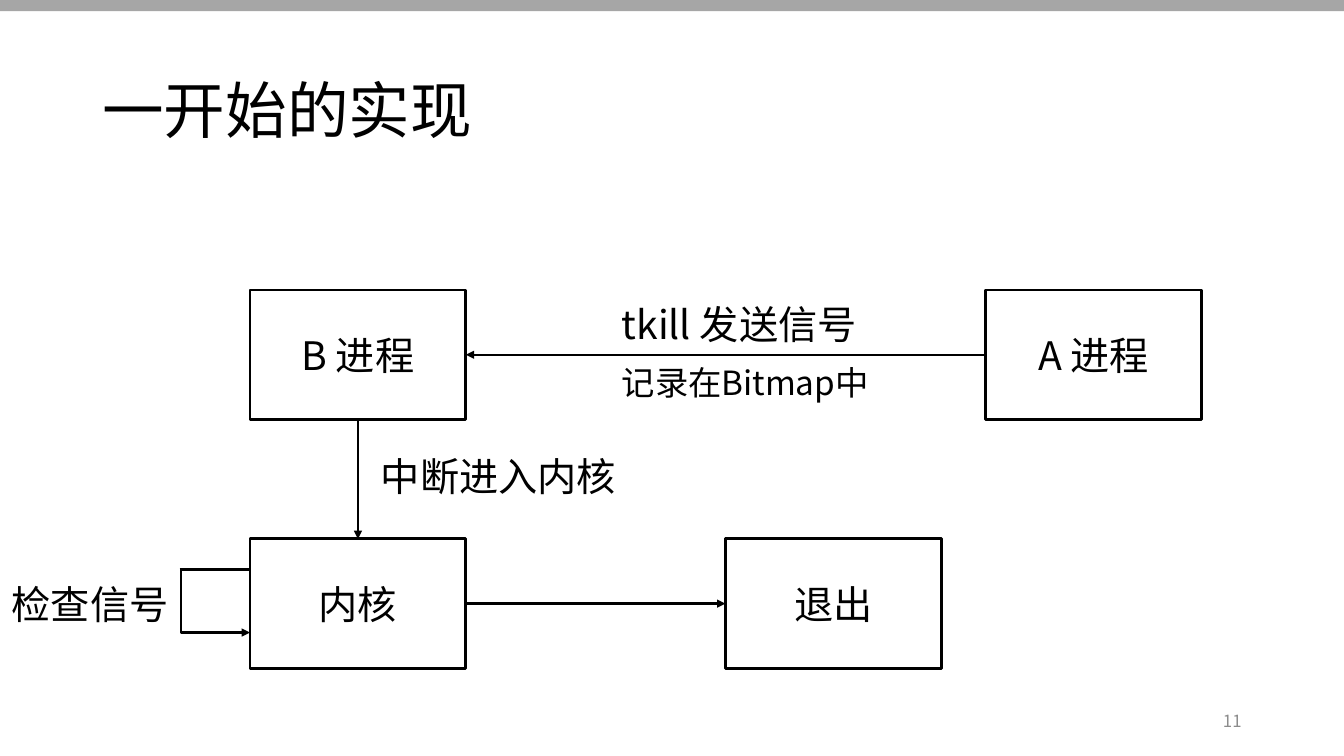
from dataclasses import dataclass

from lxml import etree
from pptx import Presentation
from pptx.dml.color import RGBColor
from pptx.enum.shapes import MSO_CONNECTOR, MSO_SHAPE
from pptx.enum.text import MSO_ANCHOR, PP_ALIGN
from pptx.oxml.ns import qn
from pptx.util import Cm, Pt

RECT = MSO_SHAPE.RECTANGLE
STRAIGHT, ELBOW = MSO_CONNECTOR.STRAIGHT, MSO_CONNECTOR.ELBOW
TOP, MIDDLE = MSO_ANCHOR.TOP, MSO_ANCHOR.MIDDLE
LEFT, CENTER, RIGHT = PP_ALIGN.LEFT, PP_ALIGN.CENTER, PP_ALIGN.RIGHT
SIDE_TOP, SIDE_LEFT, SIDE_BOTTOM, SIDE_RIGHT = range(4)


@dataclass(frozen=True)
class Theme:
    font: str = "Noto Sans CJK SC"
    ink: RGBColor = RGBColor(0, 0, 0)
    bar: RGBColor = RGBColor(0xA6, 0xA6, 0xA6)
    muted: RGBColor = RGBColor(0x8C, 0x8C, 0x8C)
    title: float = 44
    body: float = 28
    note: float = 23.8
    number: float = 12
    box_line: float = 2
    arrow_line: float = 1.75


theme = Theme()


def write(shape, text, size, color=theme.ink, align=LEFT, anchor=MIDDLE, spacing=1.0, before=0):
    tf = shape.text_frame
    tf.word_wrap = True
    tf.vertical_anchor = anchor
    tf.text = text
    p = tf.paragraphs[0]
    p.alignment = align
    p.line_spacing = spacing
    p.space_before = Pt(before)
    r = p.runs[0]
    r.font.size = Pt(size)
    r.font.color.rgb = color
    r.font.name = theme.font
    etree.SubElement(r.font._element, qn("a:ea"), typeface=theme.font)


def connect(kind, x1, y1, x2, y2, arrow=True):
    """Draw a connector, lengths in cm, with an arrowhead at its end if wanted."""
    c = s.shapes.add_connector(kind, Cm(x1), Cm(y1), Cm(x2), Cm(y2))
    c.line.color.rgb = theme.ink
    c.line.width = Pt(theme.arrow_line)
    if arrow:
        etree.SubElement(c.line._get_or_add_ln(), qn("a:tailEnd"), type="triangle")
    etree.SubElement(c._element.spPr, qn("a:effectLst"))
    return c


prs = Presentation()
prs.slide_width, prs.slide_height = Cm(33.87), Cm(19.05)
s = prs.slides.add_slide(prs.slide_layouts[6])

# Top bar, title and page number
bar = s.shapes.add_shape(RECT, 0, 0, prs.slide_width, Cm(0.28))
bar.shadow.inherit = False
bar.fill.solid()
bar.fill.fore_color.rgb = theme.bar
bar.line.fill.background()

title = s.shapes.add_textbox(Cm(2.33), Cm(1.02), Cm(29.21), Cm(3.68))
write(title, "一开始的实现", theme.title, spacing=0.9)
number = s.shapes.add_textbox(Cm(23.92), Cm(17.65), Cm(7.62), Cm(1.01))
write(number, "11", theme.number, theme.muted, RIGHT)

# Process boxes
BOX_W, BOX_H = 5.44, 3.26
LEFT_X, UPPER_Y, LOWER_Y = 6.3, 7.31, 13.58
boxes = {}
for name, x, y in [
    ("A 进程", 24.84, UPPER_Y),
    ("B 进程", LEFT_X, UPPER_Y),
    ("内核", LEFT_X, LOWER_Y),
    ("退出", 18.28, LOWER_Y),
]:
    sp = s.shapes.add_shape(RECT, Cm(x), Cm(y), Cm(BOX_W), Cm(BOX_H))
    sp.shadow.inherit = False
    sp.fill.background()
    sp.line.color.rgb = theme.ink
    sp.line.width = Pt(theme.box_line)
    write(sp, name, theme.body, align=CENTER)
    boxes[name] = sp

# Arrows between boxes
for start, start_side, end, end_side in [
    ("A 进程", SIDE_LEFT, "B 进程", SIDE_RIGHT),
    ("B 进程", SIDE_BOTTOM, "内核", SIDE_TOP),
    ("内核", SIDE_RIGHT, "退出", SIDE_LEFT),
]:
    c = connect(STRAIGHT, 0, 0, 1, 1)
    c.begin_connect(boxes[start], start_side)
    c.end_connect(boxes[end], end_side)

# Signal check loop on the left of the kernel box
LOOP_X, LOOP_TOP, LOOP_BOTTOM = 4.53, 14.35, 15.94
connect(STRAIGHT, LEFT_X, LOOP_TOP, LOOP_X, LOOP_TOP, arrow=False)
loop = connect(ELBOW, LOOP_X, LOOP_TOP, LEFT_X, LOOP_BOTTOM)
bend = loop._element.spPr.find(qn("a:prstGeom")).get_or_add_avLst()
etree.SubElement(bend, qn("a:gd"), name="adj1", fmla="val 1600")

# Step labels
for text, x, y, w, size, spacing in [
    ("tkill 发送信号", 15.42, 7.57, 7.21, theme.body, 0.9),
    ("记录在Bitmap中", 15.42, 9.19, 7.21, theme.note, 0.8),
    ("中断进入内核", 9.35, 11.4, 7.21, theme.body, 0.9),
    ("检查信号", 0.05, 14.63, 4.55, theme.body, 0.9),
]:
    label = s.shapes.add_textbox(Cm(x), Cm(y), Cm(w), Cm(1.5))
    write(label, text, size, anchor=TOP, spacing=spacing, before=10)

prs.save("out.pptx")
